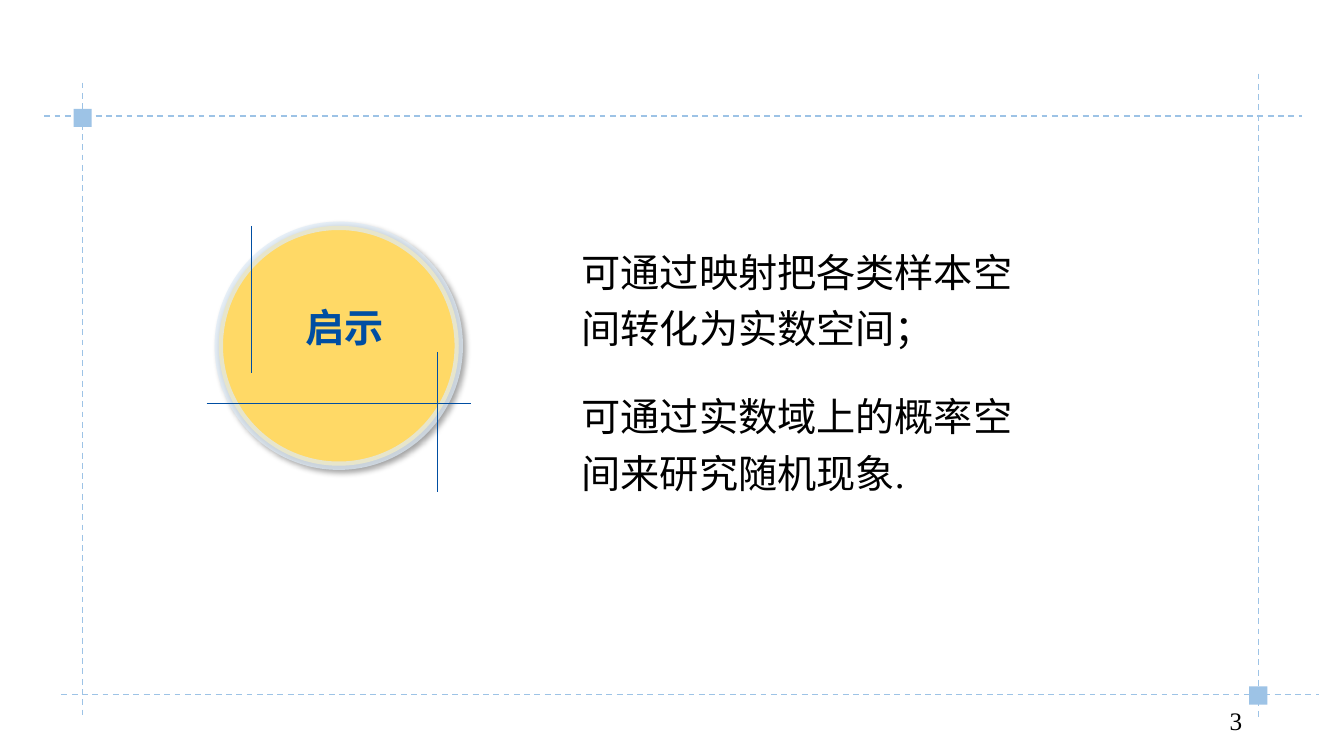
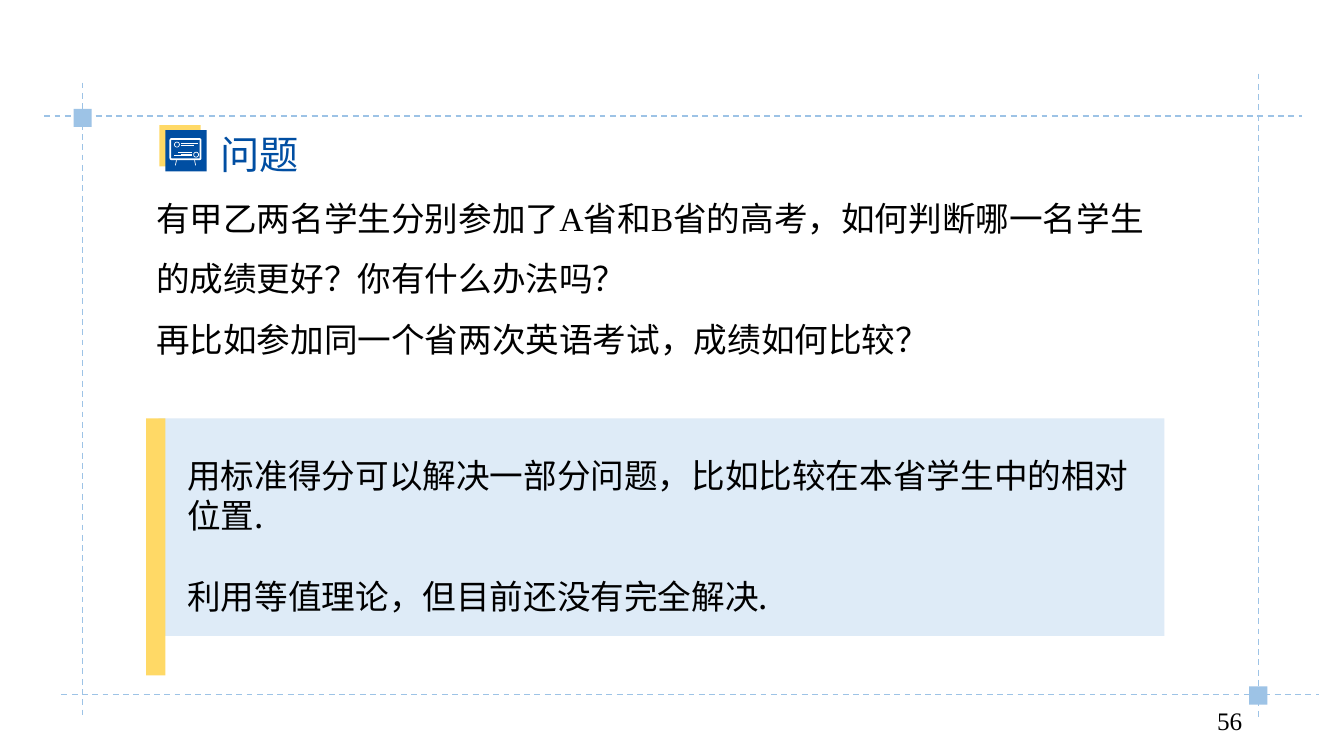
from lxml.etree import SubElement
from pptx import Presentation
from pptx.dml.color import RGBColor
from pptx.enum.dml import MSO_LINE
from pptx.enum.shapes import MSO_CONNECTOR, MSO_SHAPE as SHAPE
from pptx.enum.text import MSO_ANCHOR as ANCHOR, PP_ALIGN as ALIGN
from pptx.oxml import parse_xml
from pptx.oxml.ns import nsdecls, qn
from pptx.util import Emu, Pt

EMU_PER_PX = 9144  # 100 px to the inch
PAGE_WIDTH, PAGE_HEIGHT = 1333, 750

BLACK = RGBColor(0x00, 0x00, 0x00)
WHITE = RGBColor(0xFF, 0xFF, 0xFF)
NAVY = RGBColor(0x00, 0x4E, 0xA2)
SKY = RGBColor(0x9D, 0xC3, 0xE6)
PALE = RGBColor(0xDE, 0xEB, 0xF7)
GOLD = RGBColor(0xFF, 0xD9, 0x66)

SERIF = "Times New Roman"
SANS = "Noto Sans CJK SC"


def px(value):
    return Emu(value * EMU_PER_PX)


# Basic parts
def add_box(page, left, top, width, height, fill=None, kind=SHAPE.RECTANGLE,
            line=None, weight=0.5):
    box = page.shapes.add_shape(kind, px(left), px(top), px(width), px(height))
    box.shadow.inherit = False
    if fill is None:
        box.fill.background()
    else:
        box.fill.solid()
        box.fill.fore_color.rgb = fill
    if line is None:
        box.line.fill.background()
    else:
        box.line.color.rgb = line
        box.line.width = Pt(weight)
    return box


def add_line(page, x1, y1, x2, y2, color, weight=0.5, dash=None):
    line = page.shapes.add_connector(
        MSO_CONNECTOR.STRAIGHT, px(x1), px(y1), px(x2), px(y2))
    line.line.color.rgb = color
    line.line.width = Pt(weight)
    if dash:
        line.line.dash_style = dash
    SubElement(line._element.spPr, qn("a:effectLst"))


def add_text(page, left, top, width, height, texts, size, color=BLACK,
             font=SERIF, bold=False, align=ALIGN.LEFT, anchor=ANCHOR.TOP,
             spacing=None, gap=0, wrap=True):
    box = page.shapes.add_textbox(px(left), px(top), px(width), px(height))
    frame = box.text_frame
    frame.word_wrap = wrap
    frame.vertical_anchor = anchor
    for index, text in enumerate(texts):
        para = frame.add_paragraph() if index else frame.paragraphs[0]
        para.text = text
        para.alignment = align
        if spacing:
            para.line_spacing = spacing
        if index and gap:
            para.space_before = Pt(gap)
        para.font.size = Pt(size)
        para.font.bold = bold
        para.font.color.rgb = color
        para.font.name = font
        SubElement(para.font._element, qn("a:ea"), typeface=SANS)


# Shared dashed frame, corner squares and page number
def add_page(deck, number):
    page = deck.slides.add_slide(deck.slide_layouts[6])
    for ends in ((82, 82, 82, 712), (1248, 73, 1248, 712),
                 (44, 115, 1291, 115), (61, 689, 1308, 689)):
        add_line(page, *ends, SKY, 1.05, MSO_LINE.DASH)
    for left, top in ((73, 108), (1239, 681)):
        add_box(page, left, top, 18, 18, SKY)
    add_text(page, 942, 695, 300, 40, [str(number)], 18, align=ALIGN.RIGHT)
    return page


# Round badge crossed by thin lines
def add_badge(page, left, top, size, label):
    disc = add_box(page, left, top, size, size, GOLD, SHAPE.OVAL, PALE, 6)
    ring = disc.line._ln.find(".//" + qn("a:srgbClr"))
    SubElement(ring, qn("a:alpha"), val="70000")
    effects = disc._element.spPr.find(qn("a:effectLst"))
    effects.append(parse_xml(
        f'<a:outerShdw {nsdecls("a")} blurRad="{Pt(4)}" dist="{Pt(3)}" '
        'dir="2700000" algn="tl" rotWithShape="0"><a:srgbClr val="000000">'
        '<a:alpha val="40000"/></a:srgbClr></a:outerShdw>'))
    add_text(page, left + 75, top + 72, 99, 57, [label], 28, NAVY,
             bold=True, align=ALIGN.CENTER, wrap=False)
    for x1, y1, x2, y2 in ((32, 0, 32, 146), (217, 125, 217, 264),
                           (-12, 176, 250, 176)):
        add_line(page, left + x1, top + y1, left + x2, top + y2, NAVY)


# White display board, 32 by 27
def add_board_icon(page, left, top):
    add_box(page, left + 1, top + 1, 30, 20, kind=SHAPE.ROUNDED_RECTANGLE,
            line=WHITE, weight=1.25).adjustments[0] = 0.05
    for x, y in ((5, 4), (24, 14)):
        add_box(page, left + x, top + y, 5, 5, kind=SHAPE.OVAL, line=WHITE)
    for x1, y1, x2, y2 in ((12, 5, 28, 5), (12, 7, 24, 7), (9, 14, 22, 14),
                           (12, 16, 22, 16), (5, 17, 22, 17),
                           (7, 22, 6, 27), (25, 22, 26, 27)):
        add_line(page, left + x1, top + y1, left + x2, top + y2, WHITE)


def add_heading(page, left, top, title):
    add_box(page, left, top, 41, 41, GOLD)
    add_box(page, left + 6, top + 5, 41, 41, NAVY)
    add_board_icon(page, left + 10, top + 13)
    add_text(page, left + 51, top, 356, 57, [title], 28, NAVY)


# Pale panel with a gold bar at its left
def add_answer(page, left, top, texts):
    add_box(page, left + 12, top, 998, 216, PALE)
    add_box(page, left, top, 19, 255, GOLD)
    add_text(page, left + 31, top + 30, 968, 172, texts, 24, font=SANS,
             anchor=ANCHOR.MIDDLE, gap=29)


# Pages
def insight_page(deck):
    page = add_page(deck, 3)
    insights = ("可通过映射把各类样本空间转化为实数空间；",
                "可通过实数域上的概率空间来研究随机现象.")
    for row, text in enumerate(insights):
        add_text(page, 567, 232 + 143 * row, 464, 118, [text], 28, spacing=1.2)
    add_badge(page, 217, 224, 238, "启示")


def question_page(deck):
    page = add_page(deck, 56)
    add_text(page, 145, 171, 1024, 185, [
        "有甲乙两名学生分别参加了A省和B省的高考，如何判断哪一名学生的成绩更好？你有什么办法吗？",
        "再比如参加同一个省两次英语考试，成绩如何比较？"], 24, spacing=1.5)
    add_heading(page, 158, 124, "问题")
    add_answer(page, 145, 415, [
        "用标准得分可以解决一部分问题，比如比较在本省学生中的相对位置.",
        "利用等值理论，但目前还没有完全解决."])


def main():
    deck = Presentation()
    deck.slide_width, deck.slide_height = px(PAGE_WIDTH), px(PAGE_HEIGHT)
    insight_page(deck)
    question_page(deck)
    deck.save("out.pptx")


if __name__ == "__main__":
    main()
